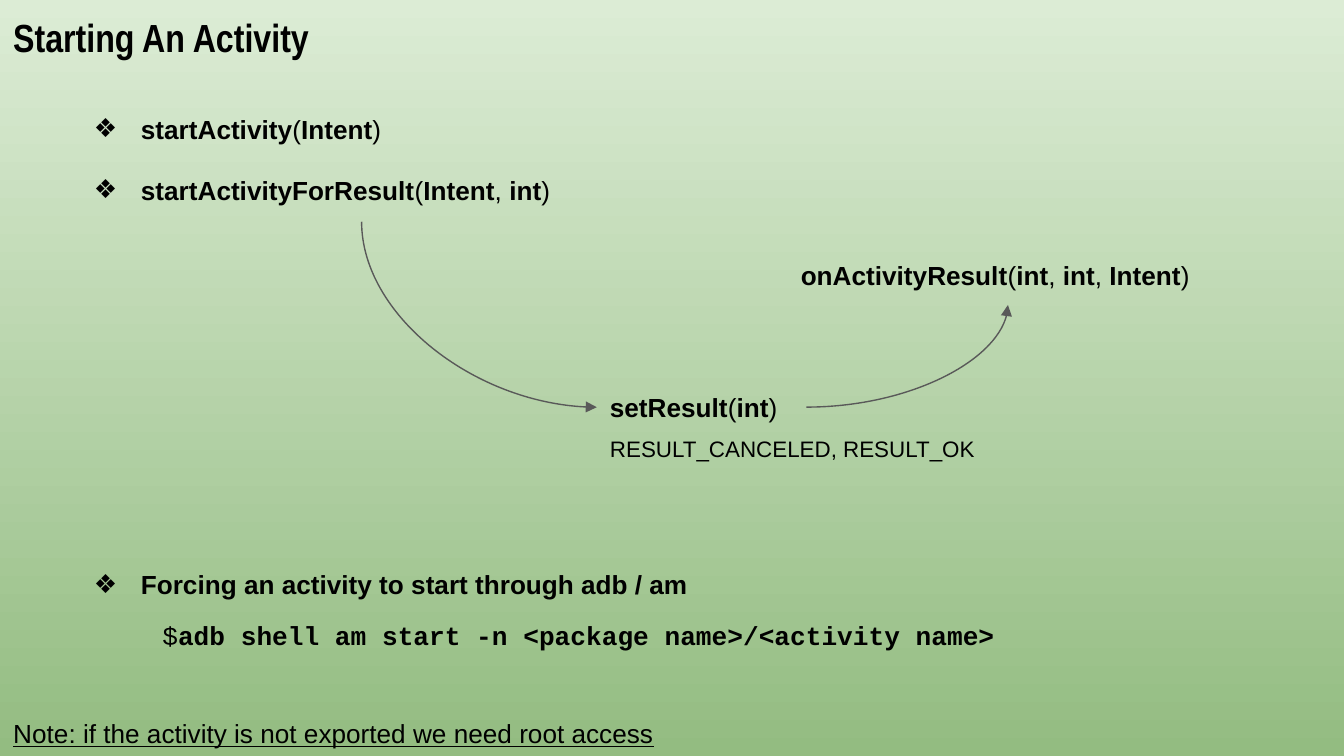
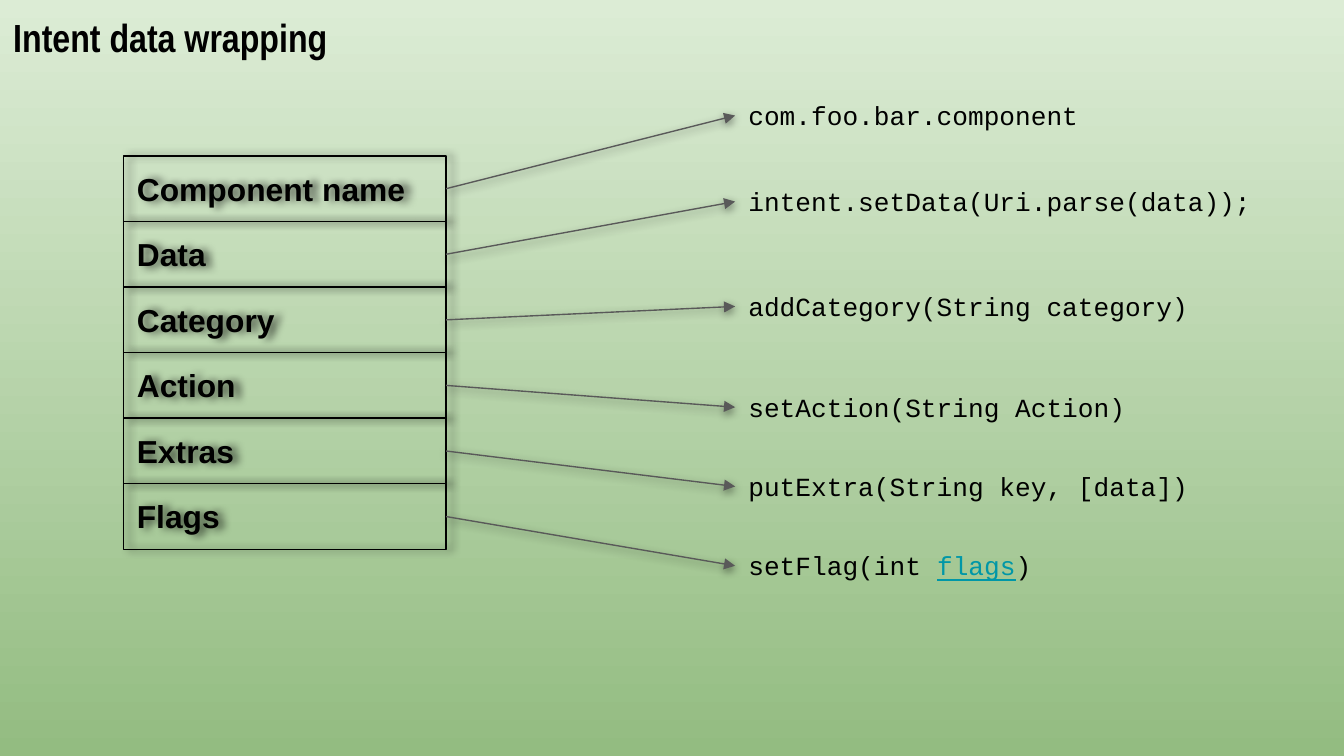
from dataclasses import dataclass
from typing import Optional

from lxml import etree
from pptx import Presentation
from pptx import util as u
from pptx.dml.color import RGBColor
from pptx.enum import shapes, text
from pptx.oxml import ns

COLS, ROWS = 100, 56.25
WIDTH = u.Inches(10)
CELL = WIDTH / COLS
INKS = {"top": "DCECD5", "base": "93BC81", "text": "000000",
        "line": "595959", "link": "0097A7"}


@dataclass(frozen=True)
class Style:
    size: float = 14
    font: str = "Arial"
    bold: bool = False
    under: bool = False
    bullet: bool = False
    link: bool = False


@dataclass(frozen=True)
class Shade:
    alpha: int
    blur: float
    dist: float
    angle: int


@dataclass(frozen=True)
class Label:
    left: float
    top: float
    wide: float
    high: float
    lines: tuple[str, ...]
    style: Style


@dataclass(frozen=True)
class Field:
    name: str
    call: str
    top: float
    wide: float = 38.6


TITLE = Style(21, "Arial Narrow", bold=True)
PLAIN = Style()
POINT = Style(bullet=True)
SMALL = Style(12)
CODE = Style(font="Courier New")
LINK = Style(font="Courier New", link=True)
NOTE = Style(under=True)
NAME = Style(17, bold=True)
BOX_SHADE = Shade(66, 4.5, 3, 0)
LINE_SHADE = Shade(50, 4.5, 1.5, 90)

LABELS = (
    Label(4.5, 7.4, 44.8, 9.1,
          ("*startActivity*(*Intent*)",
           "*startActivityForResult*(*Intent*, *int*)"), POINT),
    Label(58.6, 18.3, 32.8, 4.4,
          ("*onActivityResult*(*int*, *int*, *Intent*)",), PLAIN),
    Label(44.4, 28.1, 15.6, 4.4, ("*setResult*(*int*)",), PLAIN),
    Label(44.4, 31.4, 32.8, 4, ("RESULT_CANCELED, RESULT_OK",), SMALL),
    Label(11.1, 45.1, 71.7, 4.4,
          ("$*adb shell am start -n <package name>/<activity name>*",), CODE),
    Label(4.5, 41.3, 53.4, 4.4,
          ("*Forcing an activity to start through adb / am*",), POINT),
    Label(0, 52.4, 65.5, 4.4,
          ("Note: if the activity is not exported we need root access",), NOTE),
)

FIELDS = (
    Field("Component name", "com.foo.bar.component", 6.4, 27.3),
    Field("Data", "intent.setData(Uri.parse(data));", 12.8, 40.5),
    Field("Category", "addCategory(String category)", 20.6),
    Field("Action", "setAction(String Action)", 28.1),
    Field("Extras", "putExtra(String key, [data])", 34),
    Field("Flags", "setFlag(int *flags*)", 39.9),
)


def grid(*cells: float) -> list[u.Emu]:
    return [u.Emu(round(c * CELL)) for c in cells]


def ink(key: str) -> RGBColor:
    return RGBColor.from_string(INKS[key])


def add(node, tag: str, **attrs):
    return etree.SubElement(node, ns.qn(tag),
                            {k: str(v) for k, v in attrs.items()})


def shade(node, look: Shade) -> None:
    outer = add(node, "a:outerShdw", blurRad=u.Pt(look.blur),
                dist=u.Pt(look.dist), dir=look.angle * 60000,
                algn="bl", rotWithShape=0)
    color = add(outer, "a:srgbClr", val=INKS["text"])
    add(color, "a:alpha", val=look.alpha * 1000)


def bullet(para) -> None:
    props = para._p.get_or_add_pPr()
    props.set("marL", str(u.Inches(0.5)))
    props.set("indent", str(u.Inches(-0.35)))
    add(add(props, "a:buClr"), "a:srgbClr", val=INKS["text"])
    add(props, "a:buFont", typeface="Arial")
    add(props, "a:buChar", char="❖")


def write(shape, lines: tuple[str, ...], style: Style) -> None:
    frame = shape.text_frame
    frame.word_wrap = True
    frame.auto_size = text.MSO_AUTO_SIZE.SHAPE_TO_FIT_TEXT
    frame.vertical_anchor = text.MSO_ANCHOR.TOP
    frame.margin_left = frame.margin_right = u.Inches(0.1)
    frame.margin_top = frame.margin_bottom = u.Inches(0.1)
    for row, line in enumerate(lines):
        para = frame.add_paragraph() if row else frame.paragraphs[0]
        para.alignment = text.PP_ALIGN.LEFT
        if row:
            para.space_before = u.Pt(16)
        if style.bullet:
            bullet(para)
        for turn, part in enumerate(line.split("*")):
            if not part:
                continue
            run = para.add_run()
            run.text = part
            mark = turn % 2 == 1
            link = mark and style.link
            font = run.font
            font.name, font.size = style.font, u.Pt(style.size)
            font.bold = style.bold or (mark and not style.link)
            font.underline = style.under or link
            font.color.rgb = ink("link" if link else "text")


def put(slide, item: Label):
    box = slide.shapes.add_textbox(
        *grid(item.left, item.top, item.wide, item.high))
    write(box, item.lines, item.style)
    return box


def cell(slide, name: str, top: float):
    box = slide.shapes.add_shape(
        shapes.MSO_SHAPE.RECTANGLE, *grid(9.2, top, 24, 4.88))
    box.fill.background()
    box.line.color.rgb = ink("text")
    box.line.width = u.Pt(0.75)
    box.shadow.inherit = False
    shade(box._element.spPr.find(ns.qn("a:effectLst")), BOX_SHADE)
    write(box, (name,), NAME)
    return box


def arrow(slide, kind, ends: tuple[float, ...], look: Optional[Shade] = None):
    line = slide.shapes.add_connector(kind, *grid(*ends))
    line.line.color.rgb = ink("line")
    line.line.width = u.Pt(0.75)
    add(line.line._get_or_add_ln(), "a:tailEnd", type="triangle")
    effects = add(line._element.spPr, "a:effectLst")
    if look:
        shade(effects, look)
    return line


def curve(slide, ends: tuple[float, ...], turn: bool = False) -> None:
    if turn:
        x1, y1, x2, y2 = ends
        midx, midy = (x1 + x2) / 2, (y1 + y2) / 2
        halfx, halfy = (y2 - y1) / 2, (x2 - x1) / 2
        ends = (midx + halfx, midy - halfy, midx - halfx, midy + halfy)
    line = arrow(slide, shapes.MSO_CONNECTOR.CURVE, ends)
    props = line._element.spPr
    props.find(ns.qn("a:prstGeom")).set("prst", "curvedConnector2")
    if turn:
        props.find(ns.qn("a:xfrm")).set("rot", str(270 * 60000))


def start(deck, title: str, wide: float):
    slide = deck.slides.add_slide(deck.slide_layouts[6])
    fill = slide.background.fill
    fill.gradient()
    fill.gradient_angle = 270
    for stop, key in zip(fill.gradient_stops, ("top", "base")):
        stop.color.rgb = ink(key)
    put(slide, Label(0, 0, wide, 5.6, (title,), TITLE))
    return slide


def launch(deck) -> None:
    slide = start(deck, "Starting An Activity", 56.8)
    for item in LABELS:
        put(slide, item)
    curve(slide, (60, 30.3, 75, 22.7))
    curve(slide, (26.9, 16.5, 44.4, 30.3), turn=True)


def wrap(deck) -> None:
    slide = start(deck, "Intent data wrapping", 36.9)
    cells = [cell(slide, item.name, 11.6 + 4.88 * row)
             for row, item in enumerate(FIELDS)]
    for box, item in zip(cells, FIELDS):
        call = put(slide, Label(54.7, item.top, item.wide, 4.4,
                                (item.call,), LINK))
        line = arrow(slide, shapes.MSO_CONNECTOR.STRAIGHT,
                     (33.2, item.top, 54.7, item.top), LINE_SHADE)
        line.begin_connect(box, 3)
        line.end_connect(call, 1)


def main() -> None:
    deck = Presentation()
    deck.slide_width, deck.slide_height = grid(COLS, ROWS)
    launch(deck)
    wrap(deck)
    deck.save("out.pptx")


if __name__ == "__main__":
    main()
